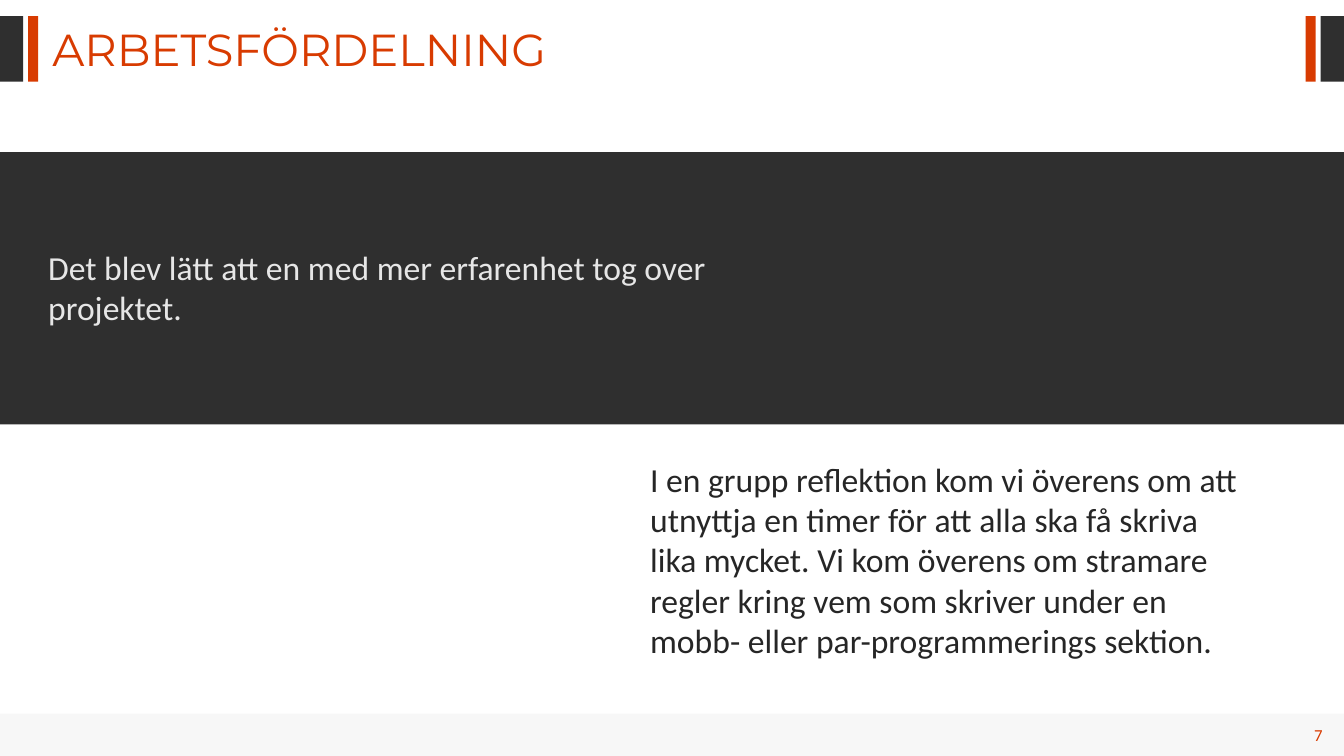
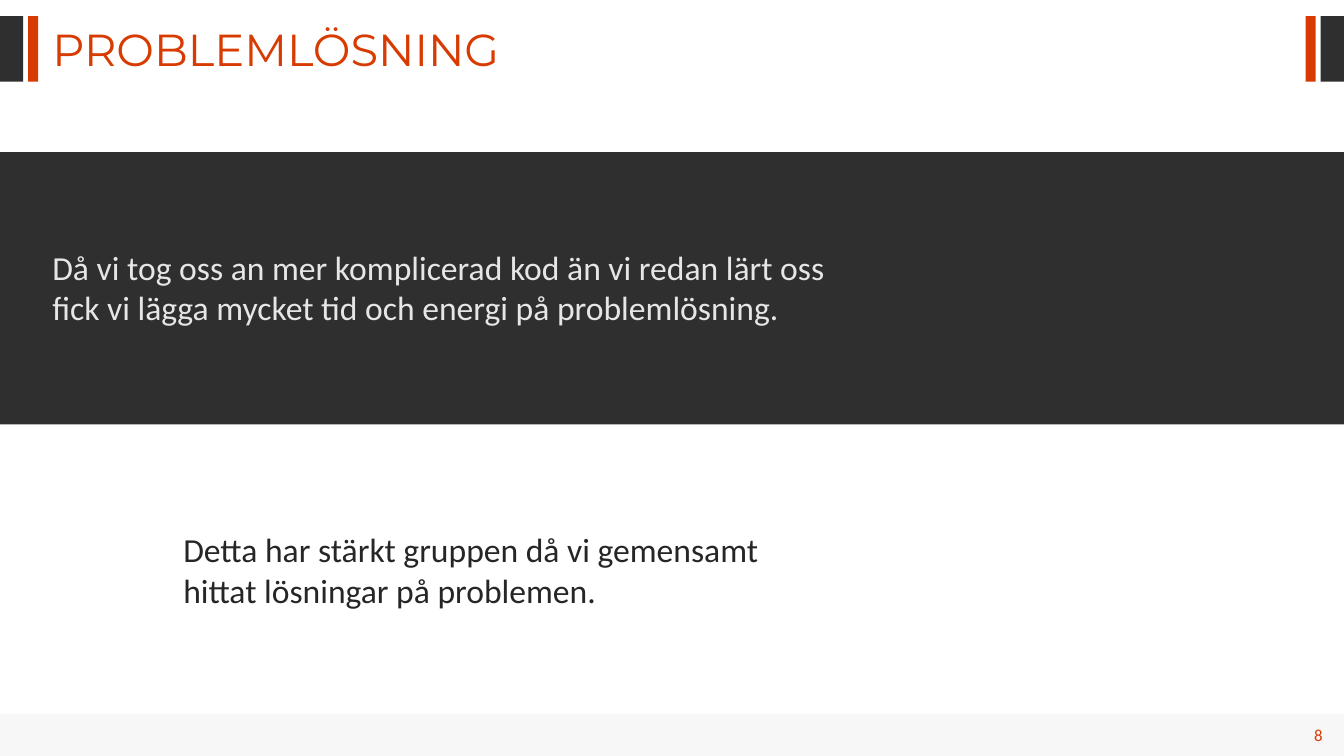
from pptx import Presentation
from pptx.dml.color import RGBColor
from pptx.enum.shapes import MSO_SHAPE
from pptx.enum.text import MSO_ANCHOR, PP_ALIGN
from pptx.util import Inches, Pt

RECT = MSO_SHAPE.RECTANGLE
TOP, MIDDLE = MSO_ANCHOR.TOP, MSO_ANCHOR.MIDDLE
LEFT, RIGHT = PP_ALIGN.LEFT, PP_ALIGN.RIGHT

DARK, ACCENT = "2F2F2F", "D83B01"
PALE, INK, FOOT = "E6E6E6", "262626", "F7F7F7"
HEAD, BODY = "Montserrat", "Calibri"


def color(code):
    return RGBColor.from_string(code)


class Deck:
    """Style and current slide; boxes are x, y, w, h in percent of the slide."""

    def __init__(self):
        self.prs = Presentation()
        self.prs.slide_width = Inches(13.33)
        self.prs.slide_height = Inches(7.5)
        self.slide = None

    def place(self, box):
        x, y, w, h = box
        wide, high = self.prs.slide_width, self.prs.slide_height
        return [int(part * size / 100) for part, size in
                ((x, wide), (y, high), (w, wide), (h, high))]

    def rect(self, box, fill):
        shape = self.slide.shapes.add_shape(RECT, *self.place(box))
        shape.shadow.inherit = False
        shape.fill.solid()
        shape.fill.fore_color.rgb = color(fill)
        shape.line.fill.background()

    def text(self, box, words, ink, size=24, font=BODY, align=LEFT,
             anchor=TOP, lead=1.0):
        frame = self.slide.shapes.add_textbox(*self.place(box)).text_frame
        frame.word_wrap = True
        frame.vertical_anchor = anchor
        para = frame.paragraphs[0]
        para.text = words
        para.alignment = align
        para.line_spacing = lead
        para.font.name = font
        para.font.size = Pt(size)
        para.font.color.rgb = color(ink)

    def bars(self):
        """Draw the header bars at the left edge, mirrored at the right."""
        for x, w, fill in ((0, 1.73, DARK), (2.1, 0.75, ACCENT)):
            for left in (x, 100 - x - w):
                self.rect((left, 2.13, w, 8.67), fill)

    def page(self, title, number):
        """Start a slide with its header, dark band and footer."""
        self.slide = self.prs.slides.add_slide(self.prs.slide_layouts[6])
        self.bars()
        self.text((3.15, 3.6, 50, 7.2), title, ACCENT, 32, HEAD, lead=0.8)
        self.rect((0, 20.13, 100, 36), DARK)
        self.rect((0, 94.4, 100, 5.6), FOOT)
        self.text((92.65, 95.2, 6.5, 4), str(number), ACCENT, 12,
                  align=RIGHT, anchor=MIDDLE)


PAGES = [
    ("ARBETSFÖRDELNING",
     (2.85, 32, 54.16, 17.47),
     "Det blev lätt att en med mer erfarenhet tog over projektet.",
     (47.64, 60, 45.16, 33.6),
     "I en grupp reflektion kom vi överens om att utnyttja en timer för att "
     "alla ska få skriva lika mycket. Vi kom överens om stramare regler kring "
     "vem som skriver under en mobb- eller par-programmerings sektion."),
    ("PROBLEMLÖSNING",
     (3.15, 32, 59.41, 12.13),
     "Då vi tog oss an mer komplicerad kod än vi redan lärt oss fick vi lägga "
     "mycket tid och energi på problemlösning.",
     (12.9, 69.33, 44.71, 12.13),
     "Detta har stärkt gruppen då vi gemensamt hittat lösningar på "
     "problemen."),
]


def main():
    deck = Deck()
    for number, (title, top, issue, low, answer) in enumerate(PAGES, 7):
        deck.page(title, number)
        deck.text(top, issue, PALE)
        deck.text(low, answer, INK)
    deck.prs.save("out.pptx")


if __name__ == "__main__":
    main()
